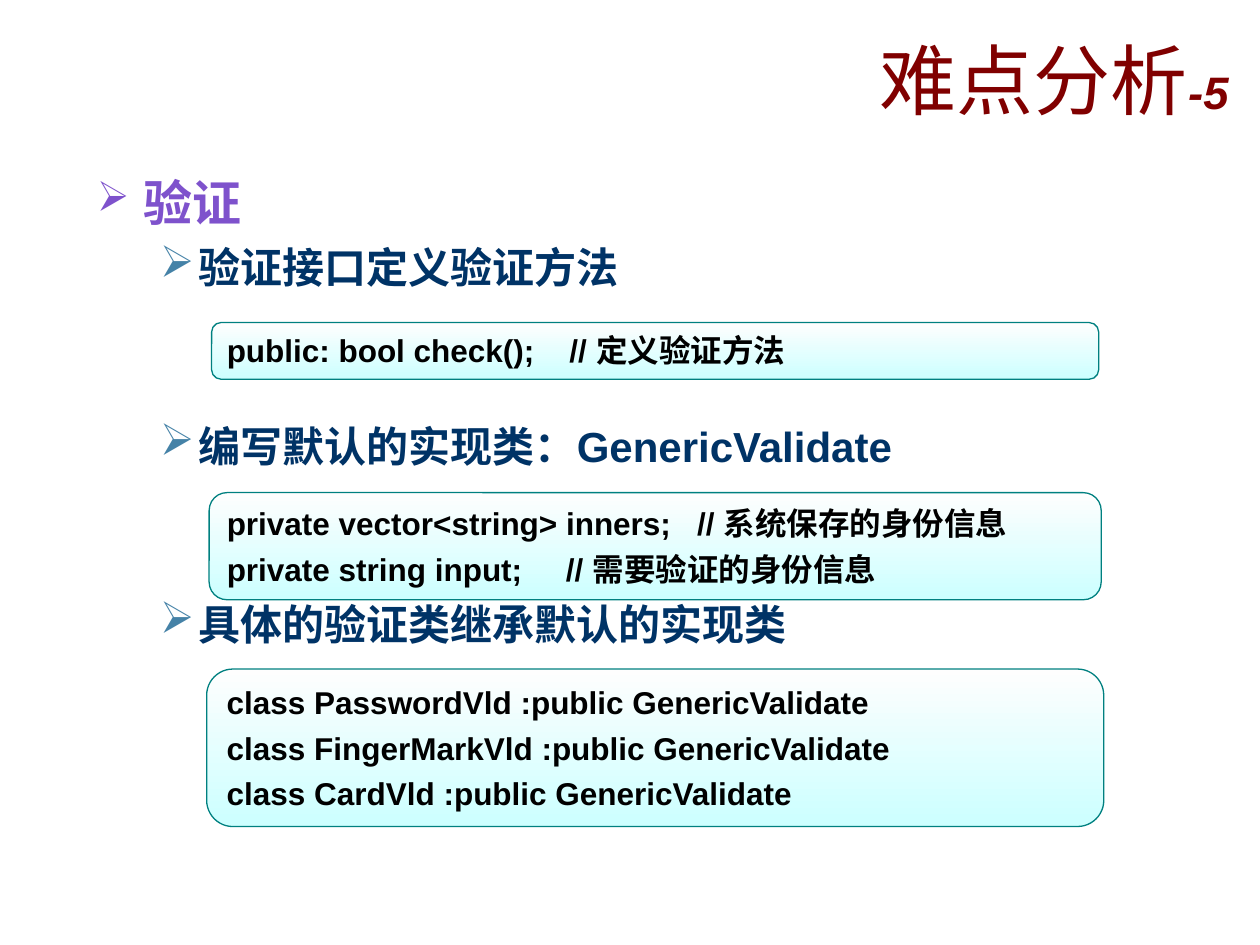
from lxml.etree import SubElement
from pptx import Presentation
from pptx.dml.color import RGBColor
from pptx.enum.shapes import MSO_SHAPE as Shape
from pptx.enum.text import MSO_ANCHOR as Anchor, MSO_AUTO_SIZE as AutoSize, PP_ALIGN as Align
from pptx.oxml.ns import qn
from pptx.util import Inches, Pt

TITLE = [
    ("难点分析", {"size": Pt(44), "bold": False}),
    ("-5", {"size": Pt(26), "bold": True, "italic": True}),
]
TOPIC = {"level": 0, "margin": 0.37, "indent": -0.37, "size": 28,
         "color": "7E52CC", "bullet": "7E52CC", "percent": 85}
POINT = {"level": 1, "margin": 0.81, "indent": -0.31, "size": 24,
         "color": "003366", "bullet": "4582A7", "percent": 105}
OUTLINE = [
    ("验证", TOPIC, 0),
    ("验证接口定义验证方法", POINT, 6),
    ("编写默认的实现类：GenericValidate", POINT, 73),
    ("具体的验证类继承默认的实现类", POINT, 73),
]
CODE_BLOCKS = [
    ((1.68, 2.56, 7.04, 0.45), ["public: bool check();    // 定义验证方法"]),
    ((1.66, 3.91, 7.08, 0.85), [
        "private vector<string> inners;   // 系统保存的身份信息",
        "private string input;     // 需要验证的身份信息",
    ]),
    ((1.64, 5.31, 7.12, 1.25), [
        "class PasswordVld :public GenericValidate",
        "class FingerMarkVld :public GenericValidate",
        "class CardVld :public GenericValidate",
    ]),
]


def rgb(color):
    return RGBColor.from_string(color)


def set_values(target, values):
    for name, value in values.items():
        setattr(target, name, value)


def set_font(font, color, **values):
    set_values(font, {"name": "Arial", **values})
    font.color.rgb = rgb(color)


def add_paragraphs(frame, count):
    return [frame.paragraphs[0]] + [frame.add_paragraph() for _ in range(count - 1)]


def add_bullet(para, style):
    props = para._p.get_or_add_pPr()
    props.set("marL", str(Inches(style["margin"])))
    props.set("indent", str(Inches(style["indent"])))
    color = SubElement(props, qn("a:buClr"))
    SubElement(color, qn("a:srgbClr"), val=style["bullet"])
    SubElement(props, qn("a:buSzPct"), val=str(style["percent"] * 1000))
    SubElement(props, qn("a:buChar"), char="➢")


def add_text_box(slide, place, **values):
    box = slide.shapes.add_textbox(*map(Inches, place))
    set_values(box.text_frame, {"word_wrap": True, **values})
    return box.text_frame


def add_title(slide):
    frame = add_text_box(slide, (1.15, 0.07, 8.7, 1.11), vertical_anchor=Anchor.MIDDLE)
    para = frame.paragraphs[0]
    para.alignment = Align.RIGHT
    for text, values in TITLE:
        span = para.add_run()
        span.text = text
        set_font(span.font, "800000", **values)


def add_outline(slide):
    frame = add_text_box(slide, (0.67, 1.32, 8.66, 5.19))
    for para, (text, style, gap) in zip(add_paragraphs(frame, len(OUTLINE)), OUTLINE):
        add_bullet(para, style)
        set_values(para, {"level": style["level"], "space_before": Pt(gap)})
        span = para.add_run()
        span.text = text
        set_font(span.font, style["color"], size=Pt(style["size"]), bold=True)


def add_code_block(slide, place, lines):
    box = slide.shapes.add_shape(Shape.ROUNDED_RECTANGLE, *map(Inches, place))
    box.shadow.inherit = False
    box.fill.gradient()
    box.fill.gradient_angle = 270
    for stop, color in zip(box.fill.gradient_stops, ("FEFEFE", "CCFFFF")):
        stop.color.rgb = rgb(color)
    box.line.color.rgb = rgb("008080")
    box.line.width = Pt(0.75)
    frame = box.text_frame
    set_values(frame, {"word_wrap": True, "vertical_anchor": Anchor.TOP,
                       "auto_size": AutoSize.SHAPE_TO_FIT_TEXT})
    for index, (para, line) in enumerate(zip(add_paragraphs(frame, len(lines)), lines)):
        set_values(para, {"alignment": Align.LEFT, "space_before": Pt(4.5 if index else 0)})
        span = para.add_run()
        span.text = line
        set_font(span.font, "000000", size=Pt(18), bold=True)


def main():
    deck = Presentation()
    deck.slide_width, deck.slide_height = Inches(10), Inches(7.5)
    slide = deck.slides.add_slide(deck.slide_layouts[6])
    add_title(slide)
    add_outline(slide)
    for place, lines in CODE_BLOCKS:
        add_code_block(slide, place, lines)
    deck.save("out.pptx")


if __name__ == "__main__":
    main()
